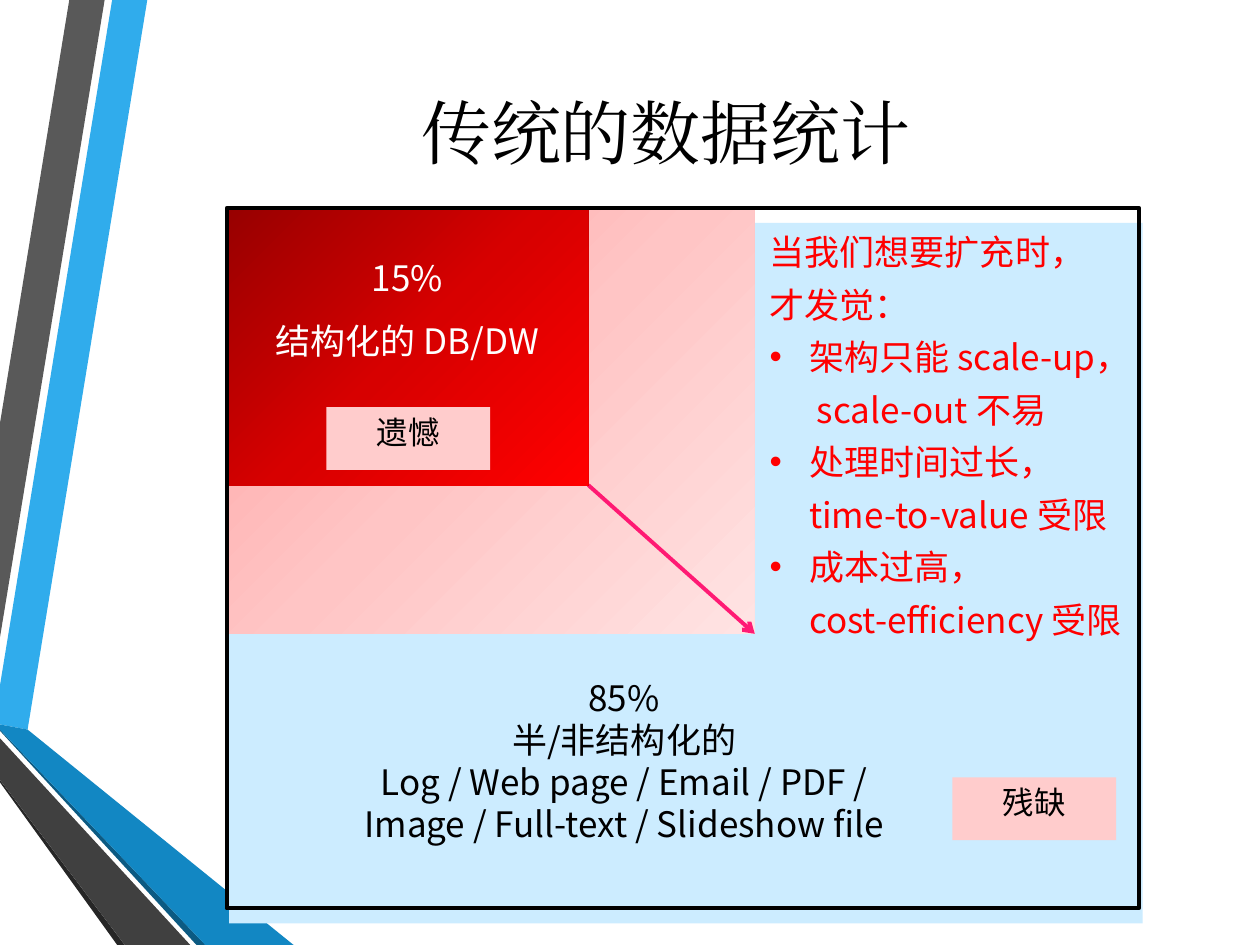
from lxml import etree
from pptx import Presentation
from pptx.dml.color import RGBColor
from pptx.enum.shapes import MSO_CONNECTOR as Connector, MSO_SHAPE as Shape
from pptx.enum.text import MSO_ANCHOR as Anchor, PP_ALIGN as Align
from pptx.oxml import parse_xml
from pptx.oxml.ns import nsdecls, qn
from pptx.util import Pt

COLORS = {
    "black": "000000", "white": "FFFFFF", "red": "FF0000", "pink": "FFCCCC",
    "pale_blue": "CCECFF", "arrow": "FF0066",
}
PINK_GRADIENT = ["FFA0A0", "FFC5C5", "FFE3E3"]
RED_GRADIENT = ["970000", "D70000", "FF0000"]
BODY_FONT = "Noto Sans CJK SC"

# Ribbon outlines on the left edge: colour, corner points
RIBBONS = [
    ("30ACEC", [(0, 391.7), (0, 414), (15.8, 416.9), (84.2, 0), (64.1, 0)]),
    ("595959", [(59.8, 0), (39.6, 0), (0, 241.9), (0, 364.3)]),
    ("262626", [(0, 445.7), (0, 447.1), (67, 540), (71.3, 540)]),
    ("0C5A82", [(0, 416.9), (0, 417.6), (112.3, 540), (117.4, 540)]),
    ("1287C3", [(0, 416.9), (117.4, 540), (167.8, 540), (15.8, 416.9), (0, 414)]),
    ("404040", [(0, 445.7), (71.3, 540), (108.7, 540), (0, 421.9)]),
]

TITLE = "传统的数据统计"
STRUCTURED = ["15%", "结构化的 DB/DW"]
UNSTRUCTURED = [
    "85%",
    "半/非结构化的",
    "Log / Web page / Email / PDF / Image / Full-text / Slideshow file",
]
# Text, left indent, bulleted
FINDINGS = [
    ("当我们想要扩充时，", 0, False),
    ("才发觉：", 0, False),
    ("架构只能 scale-up，", 22.5, True),
    ("scale-out 不易", 27, False),
    ("处理时间过长，", 22.5, True),
    ("time-to-value 受限", 22.5, False),
    ("成本过高，", 22.5, True),
    ("cost-efficiency 受限", 22.5, False),
]
TAGS = [("遗憾", 186.5, 232.6), ("残缺", 544.3, 444.2)]

LEFT, TOP = 129.6, 118.8
INNER = (206.6, 158.4)
MIDDLE = (301.7, 243.4)
OUTER = (521.3, 400.3)


def rgb(value):
    return RGBColor.from_string(value)


def set_font(para, size, color, name=BODY_FONT):
    """Format a paragraph, with one typeface for Latin and Chinese."""
    font = para.font
    font.size, font.name = Pt(size), name
    font.color.rgb = rgb(COLORS[color])
    latin = para._p.pPr.find(qn("a:defRPr")).find(qn("a:latin"))
    latin.addnext(parse_xml(f'<a:ea {nsdecls("a")} typeface="{name}"/>'))


def write(shape, lines, size, color, name=BODY_FONT, after=0):
    frame = shape.text_frame
    frame.word_wrap = True
    frame.vertical_anchor = Anchor.TOP
    frame.text = "\n".join(lines)
    for para in frame.paragraphs:
        para.alignment = Align.CENTER
        para.space_after = Pt(after)
        set_font(para, size, color, name)


def add_rect(shapes, left, top, width, height, fill=None):
    rect = shapes.add_shape(Shape.RECTANGLE, Pt(left), Pt(top), Pt(width), Pt(height))
    rect.shadow.inherit = False
    rect.line.fill.background()
    if fill:
        rect.fill.solid()
        rect.fill.fore_color.rgb = rgb(COLORS[fill])
    else:
        rect.fill.background()
    return rect


def add_gradient_rect(shapes, size, stops):
    """Add a rectangle at the shared corner, shaded diagonally downwards."""
    rect = add_rect(shapes, LEFT, TOP, *size)
    rect.fill.gradient()
    rect.fill.gradient_angle = 315
    stop_list = rect._element.spPr.find(qn("a:gradFill")).find(qn("a:gsLst"))
    for stop in list(stop_list):
        stop_list.remove(stop)
    for index, color in enumerate(stops):
        stop = etree.SubElement(stop_list, qn("a:gs"), pos=str(index * 50000))
        etree.SubElement(stop, qn("a:srgbClr"), val=color)
    return rect


def add_ribbons(shapes):
    for color, points in RIBBONS:
        corners = [(Pt(x), Pt(y)) for x, y in points]
        builder = shapes.build_freeform(*corners[0])
        builder.add_line_segments(corners[1:], close=True)
        ribbon = builder.convert_to_shape()
        ribbon.shadow.inherit = False
        ribbon.fill.solid()
        ribbon.fill.fore_color.rgb = rgb(color)
        ribbon.line.fill.background()


def add_growth_arrow(shapes):
    ends = [Pt(edge) for size in (INNER, MIDDLE)
            for edge in (LEFT + size[0], TOP + size[1])]
    arrow = shapes.add_connector(Connector.STRAIGHT, *ends)
    arrow.line.width = Pt(2.25)
    arrow.line.color.rgb = rgb(COLORS["arrow"])
    line = arrow.line._ln
    color = line.find(qn("a:solidFill")).find(qn("a:srgbClr"))
    etree.SubElement(color, qn("a:alpha"), val="87000")
    etree.SubElement(line, qn("a:tailEnd"), type="arrow")
    etree.SubElement(arrow._element.spPr, qn("a:effectLst"))


def add_findings(shapes):
    box = shapes.add_textbox(Pt(432.7), Pt(128.2), Pt(229.7), Pt(243.4))
    frame = box.text_frame
    frame.word_wrap = True
    frame.text = "\n".join(text for text, _, _ in FINDINGS)
    for para, (_, indent, bulleted) in zip(frame.paragraphs, FINDINGS):
        props = para._p.get_or_add_pPr()
        props.set("marL", str(Pt(indent)))
        props.set("indent", str(Pt(-indent if bulleted else 0)))
        para.space_after = Pt(6)
        if bulleted:
            etree.SubElement(props, qn("a:buFont"), typeface="Arial")
            etree.SubElement(props, qn("a:buChar"), char="•")
        set_font(para, 20, "red")


def main():
    deck = Presentation()
    deck.slide_width, deck.slide_height = Pt(720), Pt(540)
    slide = deck.slides.add_slide(deck.slide_layouts[5])
    shapes = slide.shapes
    add_ribbons(shapes)

    title = shapes.title
    title.left, title.top, title.width, title.height = Pt(77), Pt(36), Pt(607), Pt(77.8)
    write(title, [TITLE], 40, "black", "Times New Roman")
    title.text_frame.vertical_anchor = Anchor.MIDDLE

    add_rect(shapes, 131, 127.4, 522, 400.3, "pale_blue")
    unstructured = add_rect(shapes, 181.4, 383, 350.6, 104.4, "pale_blue")
    write(unstructured, UNSTRUCTURED, 20, "black")

    add_gradient_rect(shapes, MIDDLE, PINK_GRADIENT)
    add_growth_arrow(shapes)
    add_findings(shapes)

    structured = add_gradient_rect(shapes, INNER, RED_GRADIENT)
    write(structured, STRUCTURED, 20, "white", after=12)
    structured.text_frame.margin_top = Pt(27.6)

    frame = add_rect(shapes, LEFT, TOP, *OUTER)
    frame.line.color.rgb = rgb(COLORS["black"])
    frame.line.width = Pt(2.25)

    for text, left, top in TAGS:
        tag = add_rect(shapes, left, top, 93.6, 36, "pink")
        write(tag, [text], 18, "black", "Arial")

    deck.save("out.pptx")


if __name__ == "__main__":
    main()
